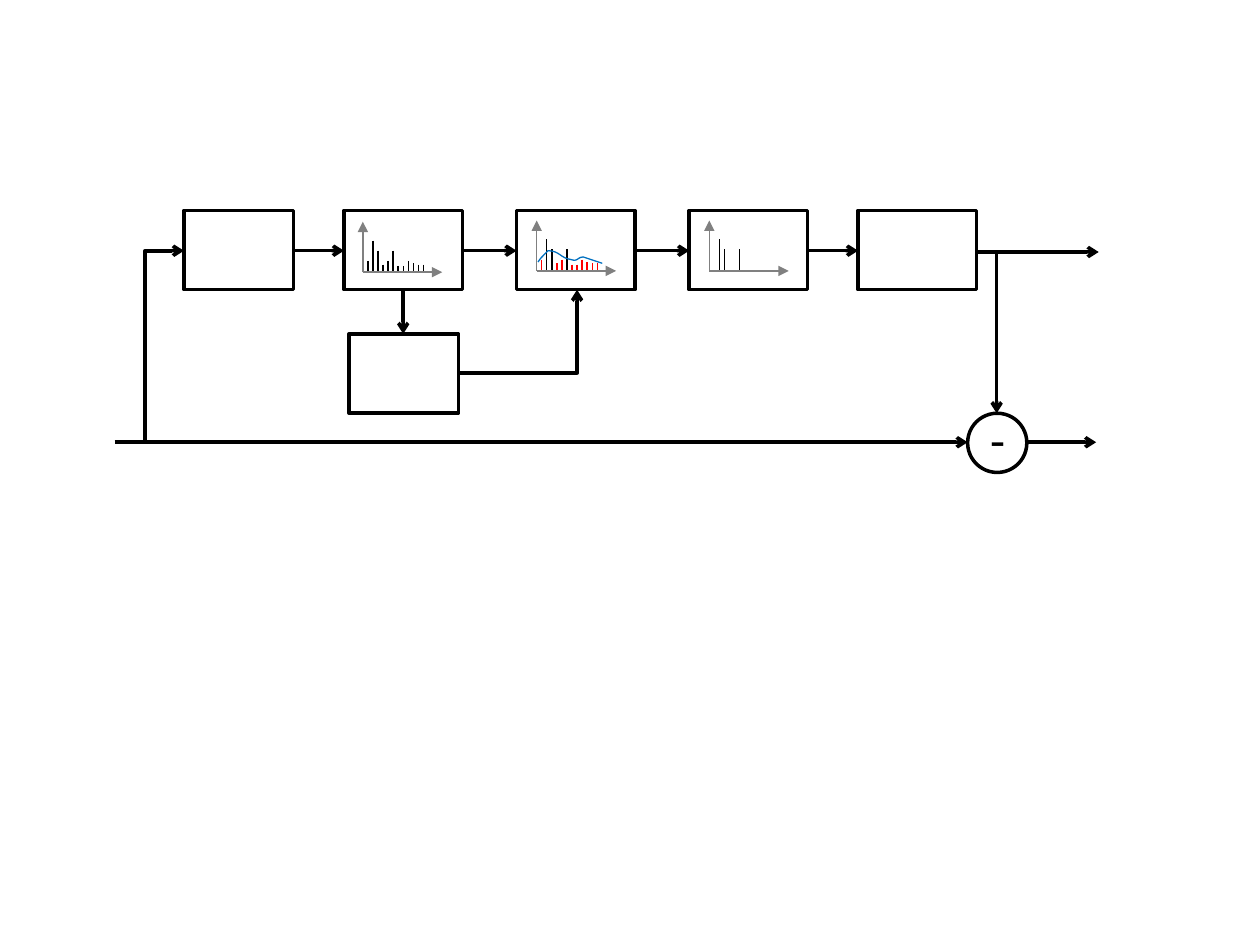
from lxml import etree
from pptx import Presentation
from pptx.dml.color import RGBColor
from pptx.enum import shapes
from pptx.oxml import ns
from pptx.util import Inches, Pt

BLACK = RGBColor(0, 0, 0)
GRAY = RGBColor(0x80, 0x80, 0x80)
RED = RGBColor(0xFF, 0, 0)
BLUE = RGBColor(0, 0x70, 0xC0)

deck = Presentation()
deck.slide_width, deck.slide_height = Inches(10), Inches(7.5)
page = deck.slides.add_slide(deck.slide_layouts[6])


def draw_line(points, color=BLACK, width=2, arrow=None):
    """Draw a straight connector, or an open outline through several points."""
    if len(points) == 2:
        (x1, y1), (x2, y2) = points
        line = page.shapes.add_connector(
            shapes.MSO_CONNECTOR.STRAIGHT, Inches(x1), Inches(y1), Inches(x2), Inches(y2))
    else:
        places = [(Inches(x), Inches(y)) for x, y in points]
        builder = page.shapes.build_freeform(*places[0])
        builder.add_line_segments(places[1:], close=False)
        line = builder.convert_to_shape()
        line.fill.background()
    line.line.color.rgb = color
    line.line.width = Pt(width)
    if arrow:
        outline = line.line._get_or_add_ln()
        etree.SubElement(outline, ns.qn("a:tailEnd"), type=arrow)
    etree.SubElement(line._element.spPr, ns.qn("a:effectLst"))


def draw_block(kind, left, top, width, height):
    """Draw an unfilled shape with a black outline."""
    block = page.shapes.add_shape(
        kind, Inches(left), Inches(top), Inches(width), Inches(height))
    block.shadow.inherit = False
    block.fill.background()
    block.line.color.rgb = BLACK
    block.line.width = Pt(2)


# Processing blocks: left, top, width
BLOCK_HEIGHT = 0.63
for left, top, width in [(1.46, 1.67, 0.87), (2.73, 1.67, 0.94), (4.1, 1.67, 0.94),
                         (5.47, 1.67, 0.94), (6.81, 1.67, 0.94), (2.77, 2.65, 0.87)]:
    draw_block(shapes.MSO_SHAPE.RECTANGLE, left, top, width, BLOCK_HEIGHT)

# Small spectra: axis origin, bars shown, colour of the bars below the threshold
BAR_HEIGHTS = [0.08, 0.24, 0.16, 0.05, 0.08, 0.16, 0.04, 0.04, 0.08, 0.06, 0.05, 0.05]
BAR_STEP = 0.04
PEAKS = [1, 2, 5]
ALL_BARS = range(len(BAR_HEIGHTS))
for x, y, bars, low_color in [(2.88, 2.16, ALL_BARS, BLACK), (4.26, 2.15, ALL_BARS, RED),
                              (5.63, 2.15, PEAKS, BLACK)]:
    for bar in bars:
        bar_x = x + BAR_STEP * (bar + 1)
        color = BLACK if bar in PEAKS else low_color
        draw_line([(bar_x, y - 0.01 - BAR_HEIGHTS[bar]), (bar_x, y - 0.01)], color, 0.75)
    for tip in [(x, y - 0.4), (x + 0.63, y)]:
        draw_line([(x, y), tip], GRAY, 0.75, "triangle")

# Threshold curve: each cubic segment is sampled into short lines
threshold = [(4.27, 2.08)]
for bend1, bend2, end in [((4.29, 2.05), (4.29, 2.05), (4.35, 1.99)),
                          ((4.44, 1.99), (4.45, 2.05), (4.53, 2.06)),
                          ((4.59, 2.08), (4.58, 2.04), (4.63, 2.04))]:
    start = threshold[-1]
    for step in range(1, 9):
        t = step / 8
        threshold.append(tuple(
            (1 - t) ** 3 * a + 3 * t * (1 - t) ** 2 * b + 3 * t * t * (1 - t) * c + t ** 3 * d
            for a, b, c, d in zip(start, bend1, bend2, end)))
threshold.append((4.78, 2.09))
draw_line(threshold, BLUE, 0.75)

# Signal flow
MAIN_Y, DIRECT_Y = 1.99, 3.51
for route in [
    [(0.91, DIRECT_Y), (7.68, DIRECT_Y)],
    [(8.15, DIRECT_Y), (8.7, DIRECT_Y)],
    [(1.15, DIRECT_Y), (1.15, MAIN_Y), (1.46, MAIN_Y)],
    [(2.33, MAIN_Y), (2.73, MAIN_Y)],
    [(3.68, MAIN_Y), (4.1, MAIN_Y)],
    [(5.05, MAIN_Y), (5.47, MAIN_Y)],
    [(6.42, MAIN_Y), (6.81, MAIN_Y)],
    [(7.77, 2), (8.72, 2)],
    [(7.76, 2), (7.91, 2), (7.91, 3.28)],
    [(3.2, 2.3), (3.2, 2.65)],
    [(3.63, 2.96), (4.58, 2.96), (4.58, 2.3)],
]:
    draw_line(route, arrow="arrow")

# Subtraction node
draw_block(shapes.MSO_SHAPE.OVAL, 7.68, 3.28, 0.47, 0.47)
minus = page.shapes.add_textbox(Inches(7.76), Inches(3.2), Inches(0.47), Inches(0.57))
minus.text_frame.word_wrap = True
minus.text_frame.text = "-"
font = minus.text_frame.paragraphs[0].runs[0].font
font.name, font.size = "Calibri", Pt(28)
font.color.rgb = BLACK

deck.save("out.pptx")
